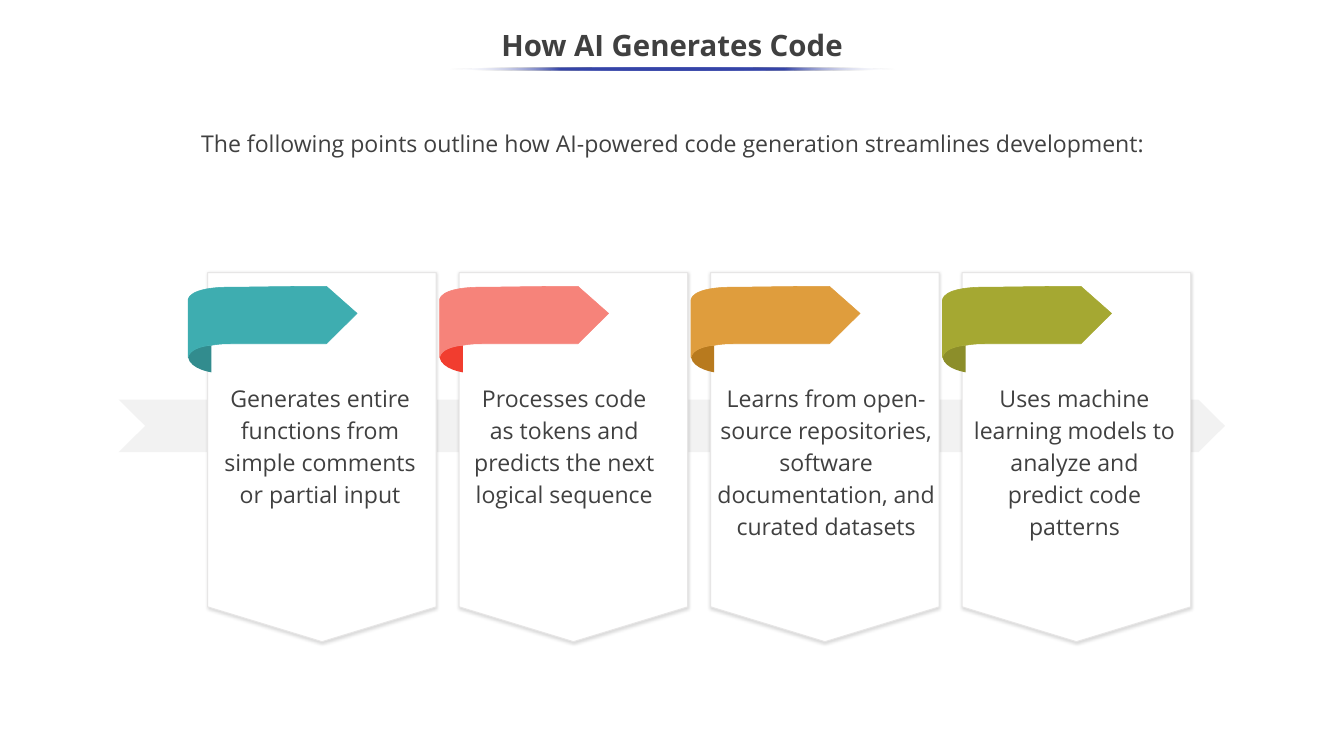
from lxml import etree
from pptx import Presentation
from pptx import util as u
from pptx.dml.color import RGBColor
from pptx.enum import shapes, text
from pptx.oxml import ns

FONT = "Open Sans"
COLORS = {"ink": "404040", "rule": "3645A9", "white": "FFFFFF",
          "band": "F2F2F2", "edge": "E7E6E6", "shadow": "000000"}

# Wording, ribbon colour, fold colour, then text inset, width and height (cm)
STEPS = [
    ("Generates entire functions from simple comments or partial input",
     "3EADB0", "328C8E", 0.37, 6.81, 4.22),
    ("Processes code as tokens and predicts the next logical sequence",
     "F6837A", "F13D2F", 0.37, 6.32, 4.22),
    ("Learns from open-source repositories, software documentation, and curated datasets",
     "DF9D3D", "B87A1E", 0.22, 7.32, 6.38),
    ("Uses machine learning models to analyze and predict code patterns",
     "A5A832", "8C8E2A", 0.37, 6.81, 5.28),
]
CARD_LEFT, CARD_TOP, CARD_PITCH = 6.98, 9.16, 8.45
CARD_WIDTH, CARD_SHOULDER, CARD_HEIGHT = 7.68, 11.23, 12.4
RIBBON_DX, RIBBON_DY = -0.66, 0.46
TEXT_TOP = 12.79

# Outlines in cm from the ribbon's top left; six numbers make a curve
FOLD = [(0, 2.39), (0.08, 2.79, 0.78, 2.89, 0.78, 2.89), (0.78, 1.98),
        (0.41, 2.01, 0.05, 2.13, 0, 2.39)]
RIBBON = [(4.65, 0), (3.56, 0, 1.73, 0.03, 1.57, 0.03),
          (-0.08, 0, 0, 0.48, 0, 0.48), (0, 2.39),
          (0.05, 2.13, 0.43, 2.01, 0.79, 1.98),
          (1.04, 1.93, 1.3, 1.93, 1.47, 1.93), (4.65, 1.93), (5.68, 0.91)]


def rgb(value):
    return RGBColor.from_string(value)


def bend_curves(shape, outline):
    """Join the three line points of each curved part into one Bézier."""
    lines = iter(shape._element.findall(".//" + ns.qn("a:lnTo")))
    for part in outline[1:]:
        group = [next(lines) for _ in range(len(part) // 2)]
        if len(group) == 3:
            curve = etree.Element(ns.qn("a:cubicBezTo"))
            group[0].addprevious(curve)
            for line in group:
                curve.append(line[0])
                line.getparent().remove(line)


def add_outline(slide, outline, left, top, fill, line=None, width=1):
    points = [(u.Cm(left + part[i]), u.Cm(top + part[i + 1]))
              for part in outline for i in range(0, len(part), 2)]
    builder = slide.shapes.build_freeform(*points[0])
    builder.add_line_segments(points[1:], close=False)
    builder.add_line_segments([], close=True)
    shape = builder.convert_to_shape()
    bend_curves(shape, outline)
    shape.shadow.inherit = False
    shape.fill.solid()
    shape.fill.fore_color.rgb = rgb(fill)
    if line:
        shape.line.color.rgb = rgb(line)
        shape.line.width = u.Pt(width)
    else:
        shape.line.fill.background()
    return shape


def add_color(parent, value, alpha=None):
    color = etree.SubElement(parent, ns.qn("a:srgbClr"), val=value)
    if alpha is not None:
        etree.SubElement(color, ns.qn("a:alpha"), val=str(alpha * 1000))


def add_soft_shadow(shape):
    effects = shape._element.spPr.find(ns.qn("a:effectLst"))
    shadow = etree.SubElement(effects, ns.qn("a:outerShdw"), blurRad=str(u.Pt(3)),
                              dist=str(u.Pt(1)), dir="5400000", rotWithShape="0")
    add_color(shadow, COLORS["shadow"], 15)


def add_text(slide, wording, left, top, width, height, size=22, bold=None,
             spacing=1.15, anchor=text.MSO_ANCHOR.TOP):
    box = slide.shapes.add_textbox(u.Cm(left), u.Cm(top), u.Cm(width), u.Cm(height))
    frame = box.text_frame
    frame.word_wrap = True
    frame.vertical_anchor = anchor
    frame.margin_left = frame.margin_right = frame.margin_top = frame.margin_bottom = 0
    paragraph = frame.paragraphs[0]
    paragraph.text = wording
    paragraph.alignment = text.PP_ALIGN.CENTER
    paragraph.line_spacing = spacing
    font = paragraph.font
    font.name, font.size, font.bold = FONT, u.Pt(size), bold
    font.color.rgb = rgb(COLORS["ink"])


def add_title_rule(slide):
    rule = slide.shapes.add_shape(shapes.MSO_SHAPE.OVAL, u.Cm(15.09), u.Cm(2.26),
                                  u.Cm(14.99), u.Cm(0.1))
    rule.shadow.inherit = False
    rule.line.fill.background()
    rule.fill.gradient()
    rule.fill.gradient_angle = 180
    stops = rule._element.spPr.find(".//" + ns.qn("a:gsLst"))
    for stop in list(stops):
        stops.remove(stop)
    for percent in (0, 25, 50, 75, 100):
        stop = etree.SubElement(stops, ns.qn("a:gs"), pos=str(percent * 1000))
        if percent in (0, 100):
            add_color(stop, COLORS["white"], 0)
        else:
            add_color(stop, COLORS["rule"])


def add_band(slide):
    length, height, point = 37.17, 1.76, 0.89
    outline = [(length - point, height), (0, height), (point, height / 2), (0, 0),
               (length - point, 0), (length, height / 2)]
    add_outline(slide, outline, 3.99, 13.43, COLORS["band"])


def add_step(slide, left, wording, ribbon_color, fold_color, inset, width, height):
    card_outline = [(0, 0), (CARD_WIDTH, 0), (CARD_WIDTH, CARD_SHOULDER),
                    (CARD_WIDTH / 2, CARD_HEIGHT), (0, CARD_SHOULDER)]
    card = add_outline(slide, card_outline, left, CARD_TOP,
                       COLORS["white"], COLORS["edge"])
    add_soft_shadow(card)
    ribbon_at = (left + RIBBON_DX, CARD_TOP + RIBBON_DY)
    add_outline(slide, FOLD, *ribbon_at, fold_color)
    add_outline(slide, RIBBON, *ribbon_at, ribbon_color, ribbon_color, 0.5)
    add_text(slide, wording, left + inset, TEXT_TOP, width, height)


def main():
    deck = Presentation()
    deck.slide_width, deck.slide_height = u.Cm(45.16), u.Cm(25.4)
    slide = deck.slides.add_slide(deck.slide_layouts[6])

    # Heading and introduction
    add_text(slide, "The following points outline how AI-powered code generation "
             "streamlines development:", 2.49, 4.21, 40.23, 2.51)
    add_text(slide, "How AI Generates Code", -0.02, 0.64, 45.2, 1.9, size=28, bold=True,
             spacing=0.9, anchor=text.MSO_ANCHOR.MIDDLE)
    add_title_rule(slide)

    # Arrow band with the four step cards over it
    add_band(slide)
    for index, step in enumerate(STEPS):
        add_step(slide, CARD_LEFT + index * CARD_PITCH, *step)

    deck.save("out.pptx")


if __name__ == "__main__":
    main()
